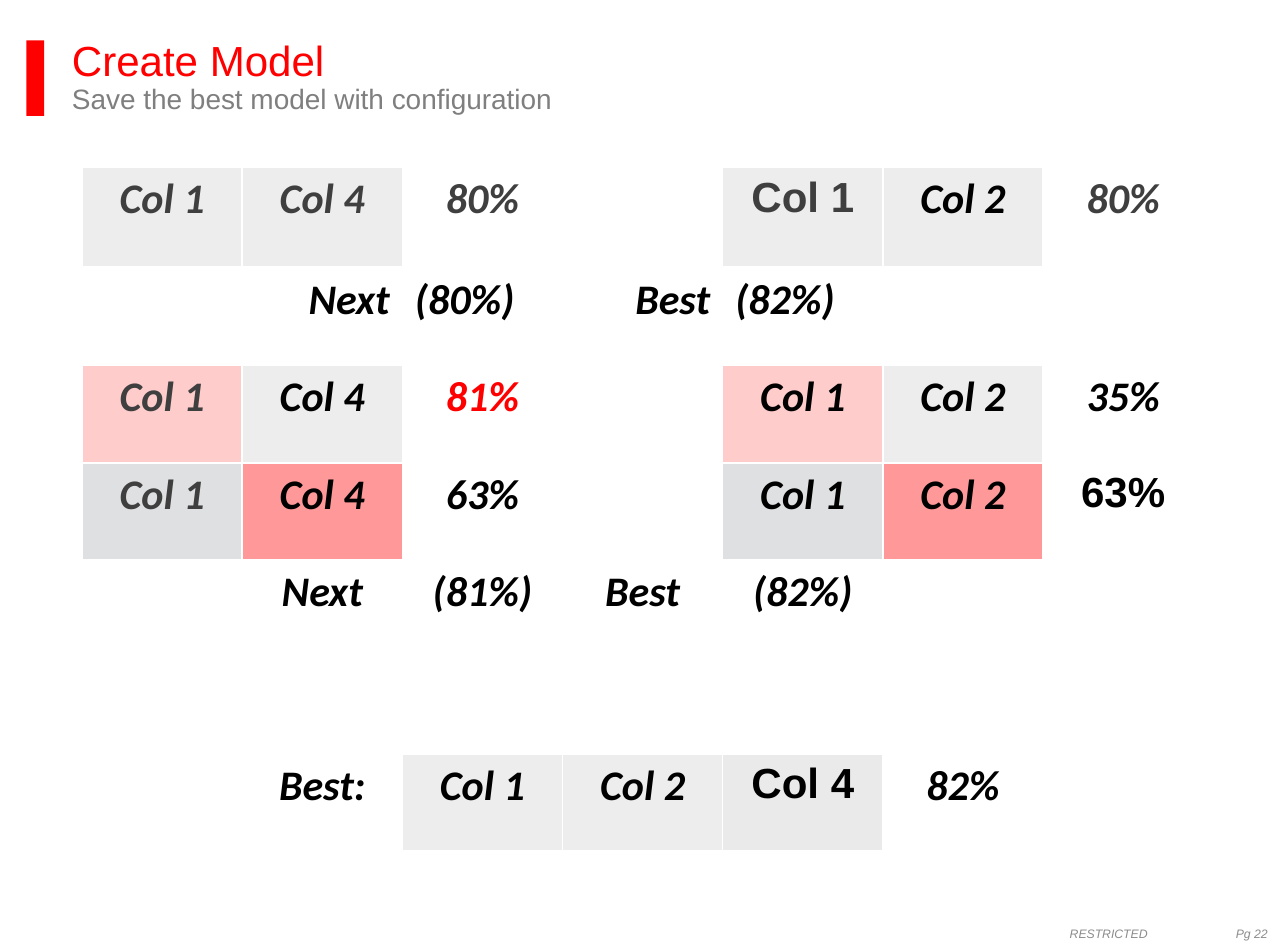
from lxml import etree
from pptx import Presentation
from pptx import util as u
from pptx.dml.color import RGBColor
from pptx.enum import shapes, text
from pptx.oxml.ns import qn

COLOURS = {
    "red": "FF0000", "subtitle": "7F7F7F", "footer": "8C8C8C",
    "black": "000000", "dark": "3F3F3F", "white": "FFFFFF",
    "grey": "EDEDEE", "mid": "DFE0E1", "final": "EAEAEA",
    "pink": "FFCCCC", "rose": "FF9999",
}
ALIGN = text.PP_ALIGN
COLUMN_WIDTH = 1.27
ROW_HEIGHTS = [0.8] + [0.77] * 6

# Filled-in cells by row: column -> (label, fill, text colour, font)
MODEL_ROWS = [
    {0: ("Col 1", "grey", "dark"), 1: ("Col 4", "grey", "dark"),
     2: ("80%", "white", "dark"), 4: ("Col 1", "grey", "dark", "Arial"),
     5: ("Col 2", "grey"), 6: ("80%", "white", "dark")},
    {1: ("Next",), 2: ("(80%)",), 3: ("Best",), 4: ("(82%)",)},
    {0: ("Col 1", "pink", "dark"), 1: ("Col 4", "grey"),
     2: ("81%", "white", "red"), 4: ("Col 1", "pink"),
     5: ("Col 2", "grey"), 6: ("35%",)},
    {0: ("Col 1", "mid", "dark"), 1: ("Col 4", "rose"), 2: ("63%",),
     4: ("Col 1", "mid"), 5: ("Col 2", "rose"),
     6: ("63%", "white", "black", "Arial")},
    {1: ("Next",), 2: ("(81%)",), 3: ("Best",), 4: ("(82%)",)},
    {},
    {1: ("Best:",), 2: ("Col 1", "grey"), 3: ("Col 2", "grey"),
     4: ("Col 4", "final", "black", "Arial"), 5: ("82%",)},
]
# The first score row pairs each label with the value to its right
PAIRED_ROW = {1: ALIGN.RIGHT, 2: ALIGN.LEFT, 3: ALIGN.RIGHT, 4: ALIGN.LEFT}


def rgb(name):
    return RGBColor.from_string(COLOURS[name])


def add_span(para, words, size, colour, font="Arial", bold=False, italic=False):
    span = para.add_run()
    span.text = words
    span.font.size = u.Pt(size)
    span.font.name = font
    span.font.bold = bold
    span.font.italic = italic
    span.font.color.rgb = rgb(colour)


def set_frame(frame, anchor, bottom=0):
    frame.word_wrap = True
    frame.auto_size = text.MSO_AUTO_SIZE.NONE
    frame.vertical_anchor = anchor
    frame.margin_left = frame.margin_top = frame.margin_right = 0
    frame.margin_bottom = u.Inches(bottom)


def add_heading(page):
    bar = page.shapes.add_shape(
        shapes.MSO_SHAPE.RECTANGLE,
        u.Inches(0.21), u.Inches(0.32), u.Inches(0.14), u.Inches(0.6))
    bar.shadow.inherit = False
    bar.fill.solid()
    bar.fill.fore_color.rgb = rgb("red")
    bar.line.fill.background()

    title = page.shapes.title
    title.left, title.top = u.Inches(0.57), u.Inches(0.32)
    title.width, title.height = u.Inches(9.5), u.Inches(0.75)
    set_frame(title.text_frame, text.MSO_ANCHOR.TOP, 0.02)
    para = title.text_frame.paragraphs[0]
    para.alignment = ALIGN.LEFT
    para.line_spacing = 0.9
    add_span(para, "Create Model", 24, "red")
    para.add_line_break()
    add_span(para, "Save the best model with configuration", 16, "subtitle")


def add_footer_label(page, words, left, width, alignment):
    box = page.shapes.add_textbox(
        u.Inches(left), u.Inches(7.3), u.Inches(width), u.Inches(0.2))
    set_frame(box.text_frame, text.MSO_ANCHOR.MIDDLE)
    para = box.text_frame.paragraphs[0]
    para.alignment = alignment
    add_span(para, words, 7, "footer", italic=True)


def set_borders(cell, bottom):
    properties = cell._tc.get_or_add_tcPr()
    widths = {"a:lnL": 1, "a:lnR": 1, "a:lnT": 1, "a:lnB": bottom}
    # Borders come before the fill
    for index, (tag, points) in enumerate(widths.items()):
        line = etree.Element(qn(tag), w=str(u.Pt(points)))
        fill = etree.SubElement(line, qn("a:solidFill"))
        etree.SubElement(fill, qn("a:srgbClr"), val=COLOURS["white"])
        properties.insert(index, line)


def fill_cell(cell, alignment, label="", fill="white", colour="black",
              font="Calibri"):
    cell.fill.solid()
    cell.fill.fore_color.rgb = rgb(fill)
    if label:
        para = cell.text_frame.paragraphs[0]
        para.alignment = alignment
        add_span(para, label, 24, colour, font, bold=True,
                 italic=font == "Calibri")


def add_model_table(page):
    columns = 7
    frame = page.shapes.add_table(
        len(MODEL_ROWS), columns, u.Inches(0.65), u.Inches(1.33),
        u.Inches(columns * COLUMN_WIDTH), u.Inches(sum(ROW_HEIGHTS)))
    table = frame.table
    table.first_row = table.horz_banding = False
    for column in table.columns:
        column.width = u.Inches(COLUMN_WIDTH)
    for r, (height, labels) in enumerate(zip(ROW_HEIGHTS, MODEL_ROWS)):
        table.rows[r].height = u.Inches(height)
        for c in range(columns):
            cell = table.cell(r, c)
            alignment = PAIRED_ROW.get(c) if r == 1 else ALIGN.CENTER
            fill_cell(cell, alignment, *labels.get(c, ()))
            set_borders(cell, bottom=3 if r == 0 else 1)


def main():
    deck = Presentation()
    deck.slide_width, deck.slide_height = u.Inches(10.21), u.Inches(7.5)
    page = deck.slides.add_slide(deck.slide_layouts[5])
    add_heading(page)
    add_model_table(page)
    add_footer_label(page, "RESTRICTED", 8.48, 0.8, ALIGN.LEFT)
    add_footer_label(page, "Pg 22", 9.45, 0.6, ALIGN.RIGHT)
    deck.save("out.pptx")


main()
